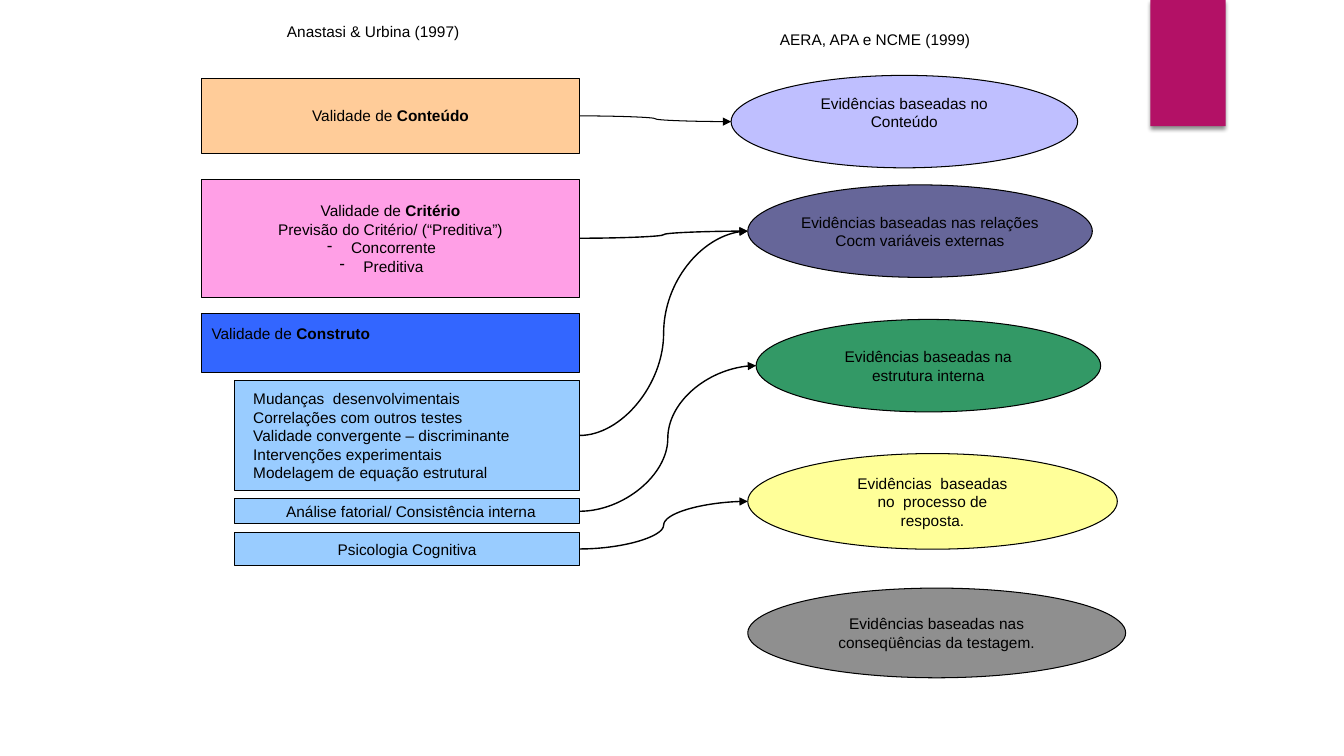
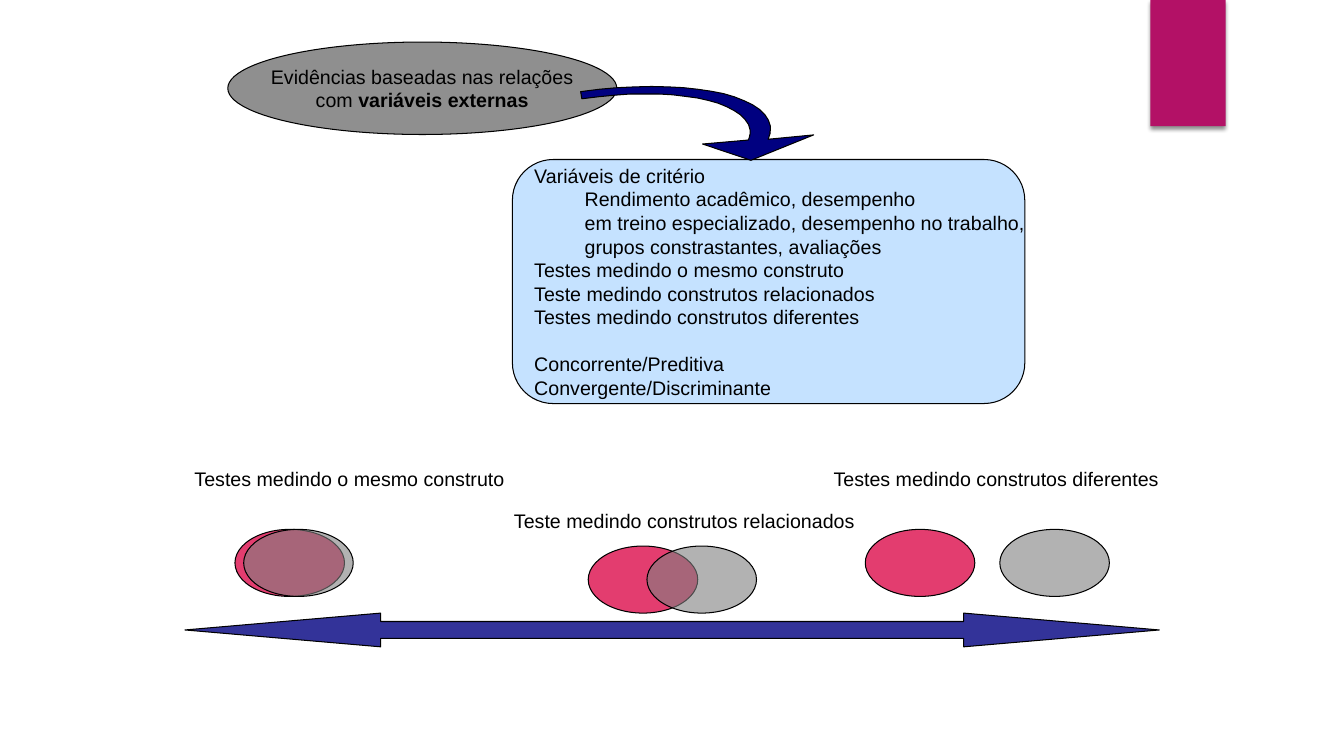
from lxml import etree
from pptx import Presentation, util as u
from pptx.dml.color import RGBColor
from pptx.enum import shapes, text
from pptx.oxml.ns import qn


class Theme:
    font = "Arial"
    black, band = "000000", "B31166"
    peach, pink, blue, sky = "FFCC99", "FF9FE6", "3366FF", "99CCFF"
    lilac, slate, green, yellow, grey = "BFBFFF", "666699", "339966", "FFFF99", "8F8F8F"
    panel, navy, indigo = "C5E2FF", "000080", "333399"
    rose, veil = "E33D6F", "808080"
    small, large = 11, 14
    pitch = {11: 13.2, 14: 16.85}  # line height for each type size
    thin, medium = 0.75, 1


KIND = shapes.MSO_SHAPE
LEFT, CENTER = text.PP_ALIGN.LEFT, text.PP_ALIGN.CENTER


def paint(shape, fill, outline=Theme.black):
    """Flat fill with a thin outline and no shadow."""
    shape.shadow.inherit = False
    shape.fill.solid()
    shape.fill.fore_color.rgb = RGBColor.from_string(fill)
    if outline:
        shape.line.color.rgb = RGBColor.from_string(outline)
        shape.line.width = u.Pt(Theme.thin)
    else:
        shape.line.fill.background()
    return shape


def write(shape, lines, size, align=LEFT):
    """One paragraph a line; *stars* mark bold and a leading "- " a dash bullet."""
    frame = shape.text_frame
    frame.word_wrap = False
    for i, line in enumerate(lines):
        paragraph = frame.add_paragraph() if i else frame.paragraphs[0]
        if line.startswith("- "):
            line = line[2:]
            props = paragraph._p.get_or_add_pPr()
            props.set("marL", str(u.Cm(0.15)))
            props.set("indent", str(u.Cm(-0.6)))
            etree.SubElement(props, qn("a:buChar")).set("char", "-")
        paragraph.alignment = align
        paragraph.line_spacing = u.Pt(Theme.pitch[size])
        paragraph.font.name = Theme.font
        paragraph.font.size = u.Pt(size)
        paragraph.font.color.rgb = RGBColor.from_string(Theme.black)
        for part, words in enumerate(line.split("*")):
            if words:
                run = paragraph.add_run()
                run.text = words
                if part % 2:
                    run.font.bold = True
    return frame


deck = Presentation()
deck.slide_width, deck.slide_height = u.Cm(33.86), u.Cm(19.05)
blank = deck.slide_layouts[6]
comparison = deck.slides.add_slide(blank)
relations = deck.slides.add_slide(blank)

# Shared band, kept on the layout
band = paint(comparison.shapes.add_shape(KIND.RECTANGLE, u.Cm(28.98), 0, u.Cm(1.9), u.Cm(3.18)),
             Theme.band, None)
shadow = etree.SubElement(band.element.spPr.find(qn("a:effectLst")), qn("a:outerShdw"),
                          blurRad=str(u.Pt(3)), dist=str(u.Pt(2)), dir="5400000", rotWithShape="0")
shade = etree.SubElement(shadow, qn("a:srgbClr"), val=Theme.black)
etree.SubElement(shade, qn("a:alpha"), val="45000")
blank.shapes.element.append(band.element)

# Slide 1: validity types on the left
right_edge = 14.6
validity_types = [  # left, top, height, fill, alignment, lines
    (5.08, 1.97, 1.9, Theme.peach, CENTER, ["Validade de *Conteúdo*"]),
    (5.08, 4.52, 2.97, Theme.pink, CENTER,
     ["Validade de *Critério*", "Previsão do Critério/ (“Preditiva”)", "- Concorrente", "- Preditiva"]),
    (5.08, 7.9, 1.48, Theme.blue, LEFT, ["Validade de *Construto*"]),
    (5.92, 9.6, 2.75, Theme.sky, LEFT,
     ["Mudanças  desenvolvimentais", "Correlações com outros testes",
      "Validade convergente – discriminante", "Intervenções experimentais",
      "Modelagem de equação estrutural"]),
    (5.92, 12.57, 0.63, Theme.sky, CENTER, ["Análise fatorial/ Consistência interna"]),
    (5.92, 13.41, 0.85, Theme.sky, CENTER, ["Psicologia Cognitiva"]),
]
types = []
for left, top, height, fill, align, lines in validity_types:
    box = comparison.shapes.add_shape(KIND.RECTANGLE, u.Cm(left), u.Cm(top),
                                      u.Cm(right_edge - left), u.Cm(height))
    write(paint(box, fill), lines, Theme.small, align).vertical_anchor = text.MSO_ANCHOR.MIDDLE
    types.append(box)
content, criterion, construct, development, factors, cognition = types

# Slide 1: sources of evidence on the right
evidence_sources = [  # left, top, width, height, fill, lines
    (18.42, 1.9, 8.73, 2.33, Theme.lilac, ["Evidências baseadas no", "Conteúdo"]),
    (18.84, 4.66, 8.68, 2.33, Theme.slate,
     ["Evidências baseadas nas relações", "Cocm variáveis externas"]),
    (19.05, 8.05, 8.68, 2.33, Theme.green, ["Evidências baseadas na", "estrutura interna"]),
    (18.84, 11.43, 9.31, 2.41, Theme.yellow,
     ["Evidências  baseadas", "no  processo de", "resposta."]),
    (18.84, 14.82, 9.52, 2.26, Theme.grey,
     ["Evidências baseadas nas", "conseqüências da testagem."]),
]
sources = []
for left, top, width, height, fill, lines in evidence_sources:
    oval = comparison.shapes.add_shape(KIND.OVAL, *map(u.Cm, (left, top, width, height)))
    write(paint(oval, fill), lines, Theme.small, CENTER).vertical_anchor = text.MSO_ANCHOR.MIDDLE
    sources.append(oval)
on_content, on_relations, on_structure, on_process, on_consequences = sources

# Text that sits off centre in its shape
for raised in (content_like := (construct, on_content)):
    raised.text_frame.margin_bottom = u.Cm(0.6)
development.text_frame.margin_left = u.Cm(0.46)
factors.text_frame.margin_left = u.Cm(0.45)

# Curved arrows from type to source
for start, end, weight in [
    (cognition, on_process, Theme.medium),
    (factors, on_structure, Theme.medium),
    (criterion, on_relations, Theme.medium),
    (content, on_content, Theme.thin),
    (development, on_relations, Theme.medium),
]:
    arrow = comparison.shapes.add_connector(shapes.MSO_CONNECTOR.CURVE, 0, 0, 0, 0)
    arrow.begin_connect(start, 3)
    arrow.end_connect(end, 2)  # site 2 of an oval is its left point
    arrow.end_x, arrow.end_y = end.left, end.top + end.height // 2
    arrow.line.color.rgb = RGBColor.from_string(Theme.black)
    arrow.line.width = u.Pt(weight)
    outline = arrow.element.spPr.find(qn("a:ln"))
    etree.SubElement(outline, qn("a:tailEnd"), type="triangle")
    etree.SubElement(arrow.element.spPr, qn("a:effectLst"))

# Slide 2: criterion panel
panel = relations.shapes.add_shape(KIND.ROUNDED_RECTANGLE, u.Cm(12.91), u.Cm(4.02),
                                   u.Cm(12.91), u.Cm(6.15))
panel.adjustments[0] = 0.167
frame = write(paint(panel, Theme.panel), [
    "Variáveis de critério",
    "Rendimento acadêmico, desempenho",
    "em treino especializado, desempenho no trabalho,",
    "grupos constrastantes, avaliações",
    "Testes medindo o mesmo construto",
    "Teste medindo construtos relacionados",
    "Testes medindo construtos diferentes",
    "Concorrente/Preditiva",
    "Convergente/Discriminante",
], Theme.large)
frame.vertical_anchor = text.MSO_ANCHOR.MIDDLE
for example in frame.paragraphs[1:4]:
    example._p.get_or_add_pPr().set("marL", str(u.Cm(1.27)))
frame.paragraphs[7].space_before = u.Pt(Theme.pitch[Theme.large])

# Slide 2: heading oval
heading = relations.shapes.add_shape(KIND.OVAL, u.Cm(5.74), u.Cm(1.06), u.Cm(9.8), u.Cm(2.33))
write(paint(heading, Theme.grey),
      ["Evidências baseadas nas relações", "com *variáveis externas*"],
      Theme.large, CENTER).vertical_anchor = text.MSO_ANCHOR.MIDDLE

# Slide 2: swooping arrow, in hundredths of a centimetre; three points make a curve
swoop = [(1885, 353)]
for step in [
    [(1890, 345), (1890, 335), (1890, 328)],
    [(1877, 251), (1689, 216), (1466, 249)],
    [(1463, 231)],
    [(1715, 196), (1928, 234), (1941, 318)],
    [(1941, 328), (1941, 338), (1935, 351)],
    [(2050, 340)], [(1892, 404)], [(1770, 363)],
]:
    if len(step) == 1:
        swoop += step
        continue
    knots = [swoop[-1], *step]
    for t in (n / 16 for n in range(1, 17)):
        weights = ((1 - t) ** 3, 3 * t * (1 - t) ** 2, 3 * t * t * (1 - t), t ** 3)
        swoop.append(tuple(sum(w * k[axis] for w, k in zip(weights, knots)) for axis in (0, 1)))
builder = relations.shapes.build_freeform(*swoop[0], scale=u.Cm(0.01))
builder.add_line_segments(swoop[1:], close=True)
paint(builder.convert_to_shape(), Theme.navy)

# Slide 2: scale from same to different constructs
scale = relations.shapes.add_shape(KIND.LEFT_RIGHT_ARROW, u.Cm(4.66), u.Cm(15.45),
                                   u.Cm(24.55), u.Cm(0.85))
scale.adjustments[0], scale.adjustments[1] = 0.5, 5.8
paint(scale, Theme.indigo)

for label, label_left, label_top, label_width, first, second, top in [
    ("Testes medindo o mesmo construto", 4.65, 11.64, 8.36, 5.92, 6.14, 13.34),
    ("Testes medindo construtos diferentes", 20.75, 11.64, 8.74, 21.8, 25.19, 13.34),
    ("Teste medindo construtos relacionados", 12.7, 12.7, 9.14, 14.82, 16.3, 13.76),
]:
    for left, fill in ((first, Theme.rose), (second, Theme.veil)):
        test = paint(relations.shapes.add_shape(KIND.OVAL, u.Cm(left), u.Cm(top),
                                                u.Cm(2.76), u.Cm(1.69)), fill)
    # The second test lets the first show through
    veil = test.element.spPr.find(qn("a:solidFill")).find(qn("a:srgbClr"))
    etree.SubElement(veil, qn("a:alpha"), val="60000")
    caption = relations.shapes.add_textbox(u.Cm(label_left), u.Cm(label_top),
                                           u.Cm(label_width), u.Cm(0.86))
    write(caption, [label], Theme.large).auto_size = text.MSO_AUTO_SIZE.SHAPE_TO_FIT_TEXT

# Slide 1: column headings
for label, left, top, width in [
    ("Anastasi & Urbina (1997)", 6.98, 0.43, 4.9),
    ("AERA, APA e NCME (1999)", 19.4, 0.64, 5.41),
]:
    column = comparison.shapes.add_textbox(u.Cm(left), u.Cm(top), u.Cm(width), u.Cm(0.73))
    write(column, [label], Theme.small).auto_size = text.MSO_AUTO_SIZE.SHAPE_TO_FIT_TEXT

deck.save("out.pptx")
